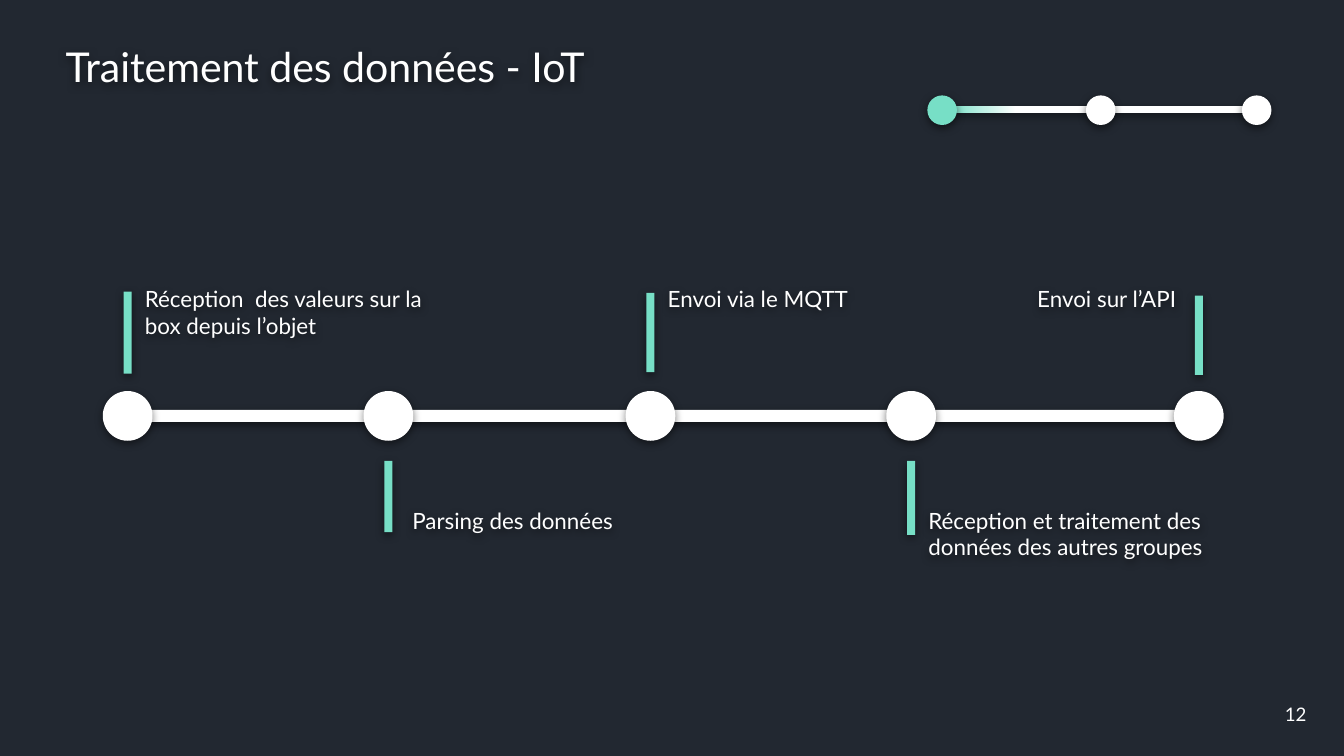
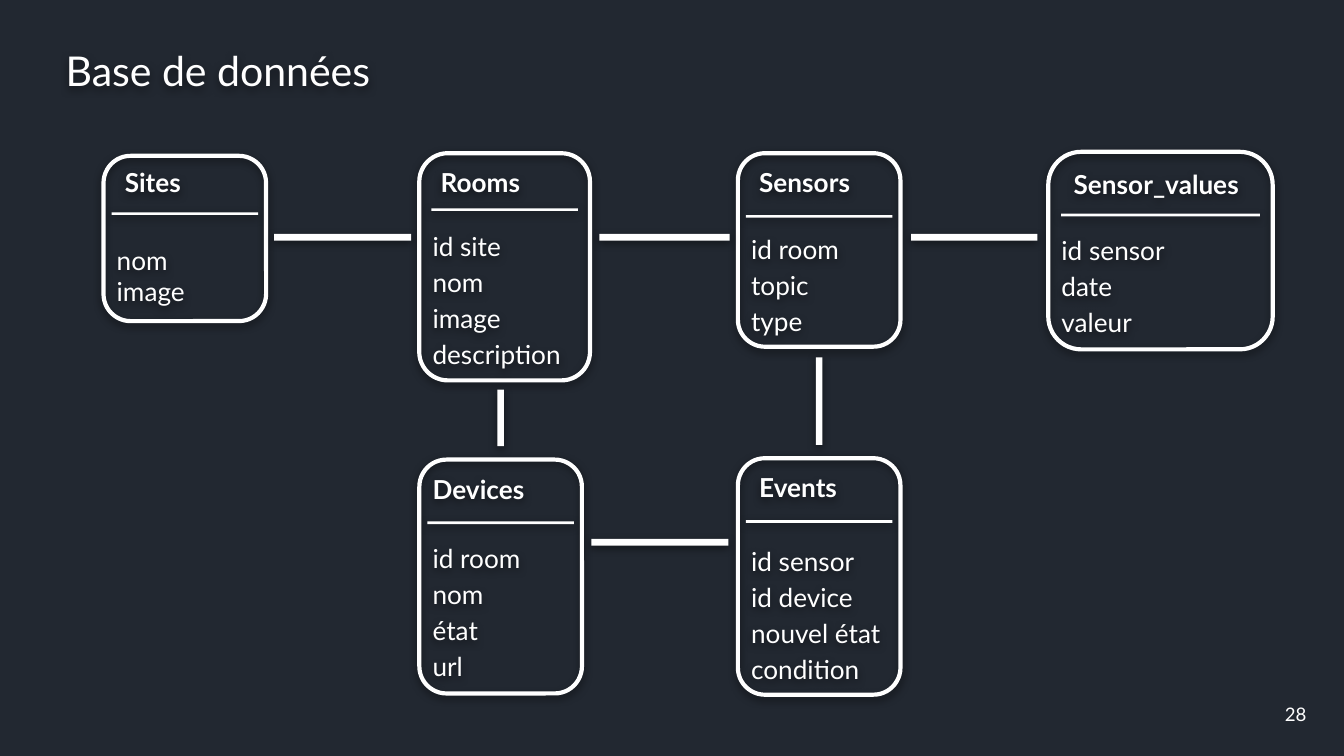
from dataclasses import dataclass

from lxml.etree import SubElement
from pptx import Presentation
from pptx.dml.color import RGBColor
from pptx.enum.shapes import MSO_SHAPE
from pptx.enum.text import MSO_ANCHOR, MSO_AUTO_SIZE, PP_ALIGN
from pptx.oxml.ns import qn
from pptx.util import Inches, Pt


@dataclass(frozen=True)
class Theme:
    background: RGBColor = RGBColor(0x22, 0x28, 0x31)
    light: RGBColor = RGBColor(0xFF, 0xFF, 0xFF)
    accent: RGBColor = RGBColor(0x77, 0xDF, 0xC6)
    font: str = "Lato"
    title_size: int = 22
    card_size: int = 14
    label_size: int = 12
    number_size: int = 10
    outline: float = 2.25


@dataclass(frozen=True)
class Step:
    label: str
    center: float
    pin_top: float
    pin_height: float
    label_box: tuple
    align: PP_ALIGN = PP_ALIGN.LEFT


@dataclass(frozen=True)
class Table:
    name: str
    box: tuple
    title_at: tuple
    rule_top: float
    fields_top: float
    fields: tuple
    rule_width: float = 1.09
    spacings: tuple = (1.15,) * 4


class Deck:
    """Holds the style and the current slide."""

    def __init__(self, theme):
        self.theme = theme
        self.presentation = Presentation()
        # 16:9 page
        self.presentation.slide_width = Inches(10)
        self.presentation.slide_height = Inches(10 * 9 / 16)
        background = self.presentation.slide_master.background.fill
        background.solid()
        background.fore_color.rgb = theme.background
        self.slide = None

    def add_slide(self, title, title_top, title_width, number):
        self.slide = self.presentation.slides.add_slide(self.presentation.slide_layouts[6])
        self.text((0.39, title_top, title_width, 0.57), [title], self.theme.title_size)
        frame = self.text((9.39, 5.1, 0.5, 0.43), [number], self.theme.number_size,
                          align=PP_ALIGN.CENTER, shadow=False)
        frame.vertical_anchor = MSO_ANCHOR.MIDDLE
        frame.auto_size = MSO_AUTO_SIZE.NONE

    def cast_shadow(self, shape):
        shape.shadow.inherit = False
        effects = shape._element.spPr.find(qn("a:effectLst"))
        outer = SubElement(effects, qn("a:outerShdw"), blurRad=str(Pt(4.5)), dist=str(Pt(1.5)),
                           dir="5400000", algn="bl", rotWithShape="0")
        color = SubElement(outer, qn("a:srgbClr"), val="000000")
        SubElement(color, qn("a:alpha"), val="50000")

    def text(self, box, lines, size, bold=False, align=PP_ALIGN.LEFT, spacings=None, shadow=True):
        shape = self.slide.shapes.add_textbox(*map(Inches, box))
        if shadow:
            self.cast_shadow(shape)
        frame = shape.text_frame
        frame.word_wrap = True
        frame.auto_size = MSO_AUTO_SIZE.SHAPE_TO_FIT_TEXT
        frame.margin_left = frame.margin_right = Inches(0.1)
        frame.margin_top = frame.margin_bottom = Inches(0.1)
        for index, line in enumerate(lines):
            paragraph = frame.add_paragraph() if index else frame.paragraphs[0]
            paragraph.text = line
            paragraph.alignment = align
            if spacings:
                paragraph.line_spacing = spacings[index]
            font = paragraph.font
            font.name = self.theme.font
            font.size = Pt(size)
            font.bold = bold
            font.color.rgb = self.theme.light
        return frame

    def filled(self, kind, box, color=None):
        shape = self.slide.shapes.add_shape(kind, *map(Inches, box))
        shape.fill.solid()
        shape.fill.fore_color.rgb = color or self.theme.light
        shape.line.fill.background()
        self.cast_shadow(shape)
        return shape

    def bar(self, box, color=None):
        return self.filled(MSO_SHAPE.RECTANGLE, box, color)

    def dot(self, left, top, diameter, color=None):
        return self.filled(MSO_SHAPE.OVAL, (left, top, diameter, diameter), color)

    def fading_bar(self, box):
        fill = self.bar(box).fill
        fill.gradient()
        fill.gradient_angle = 0
        start, end = fill.gradient_stops
        start.color.rgb, start.position = self.theme.accent, 0
        end.color.rgb, end.position = self.theme.light, 0.48

    def table_card(self, table):
        left, top, width, height = table.box
        card = self.slide.shapes.add_shape(MSO_SHAPE.ROUNDED_RECTANGLE, *map(Inches, table.box))
        card.fill.background()
        card.line.color.rgb = self.theme.light
        card.line.width = Pt(self.theme.outline)
        self.cast_shadow(card)
        rule_left = left + (width - table.rule_width) / 2
        self.bar((rule_left, table.rule_top, table.rule_width, 0.02))
        self.text((*table.title_at, table.rule_width, 0.44), [table.name],
                  self.theme.card_size, bold=True)
        self.text((left, table.fields_top, width, top + height - table.fields_top),
                  table.fields, self.theme.card_size, spacings=table.spacings)


STEPS = [
    Step("Réception  des valeurs sur la box depuis l’objet", 0.95, 2.17, 0.61,
         (0.98, 2.02, 2.43, 0.61)),
    Step("Parsing des données", 2.89, 3.43, 0.53, (2.97, 3.67, 2.19, 0.4)),
    Step("Envoi via le MQTT", 4.84, 2.18, 0.59, (4.87, 2.02, 2.43, 0.61)),
    Step("Réception et traitement des données des autres groupes", 6.78, 3.43, 0.55,
         (6.81, 3.67, 2.43, 0.61)),
    Step("Envoi sur l’API", 8.92, 2.2, 0.59, (6.42, 2.02, 2.43, 0.4), PP_ALIGN.RIGHT),
]

TABLES = [
    Table("Sites", (0.77, 1.16, 1.21, 1.23), (0.83, 1.14), 1.58, 1.6,
          ("nom", "image"), spacings=(1.5, 1.0)),
    Table("Rooms", (3.12, 1.14, 1.27, 1.69), (3.18, 1.14), 1.55, 1.58,
          ("id site", "nom", "image", "description")),
    Table("Sensors", (5.49, 1.14, 1.21, 1.44), (5.55, 1.14), 1.6, 1.6,
          ("id room", "topic", "type")),
    Table("Sensor_values", (7.8, 1.13, 1.67, 1.47), (7.89, 1.15), 1.59, 1.61,
          ("id sensor", "date", "valeur"), rule_width=1.48),
    Table("Devices", (3.12, 3.42, 1.21, 1.74), (3.12, 3.42), 3.88, 3.9,
          ("id room", "nom", "état", "url")),
    Table("Events", (5.49, 3.41, 1.21, 1.76), (5.55, 3.41), 3.87, 3.92,
          ("id sensor", "id device", "nouvel état", "condition")),
]

LINK = 0.05
TABLE_LINKS = [
    (2.04, 1.74, 1.02, LINK),
    (4.46, 1.74, 0.97, LINK),
    (6.78, 1.74, 0.94, LINK),
    (4.4, 4.01, 1.02, LINK),
    (3.7, 2.9, LINK, 0.42),
    (6.07, 2.66, LINK, 0.65),
]


def build_processing(deck):
    deck.add_slide("Traitement des données - IoT", 0.21, 5.37, "12")

    # Timeline: bars first, then the nodes over them
    for left in (0.98, 2.97, 4.87, 6.95):
        deck.bar((left, 3.05, 1.9, 0.09))
    diameter, pin_width = 0.37, 0.06
    for step in STEPS:
        deck.dot(step.center - diameter / 2, 2.91, diameter)
        deck.bar((step.center - pin_width / 2, step.pin_top, pin_width, step.pin_height),
                 deck.theme.accent)
        deck.text(step.label_box, [step.label], deck.theme.label_size, align=step.align)

    # Progress marker, first stage active
    deck.bar((8.25, 0.79, 1.02, 0.05))
    deck.fading_bar((7.04, 0.79, 1.09, 0.05))
    for left, color in ((6.9, deck.theme.accent), (8.08, None), (9.24, None)):
        deck.dot(left, 0.71, 0.22, color)


def build_database(deck):
    deck.add_slide("Base de données", 0.24, 3.4, "28")
    for table in TABLES:
        deck.table_card(table)
    for box in TABLE_LINKS:
        deck.bar(box)


def main():
    deck = Deck(Theme())
    build_processing(deck)
    build_database(deck)
    deck.presentation.save("out.pptx")


if __name__ == "__main__":
    main()
